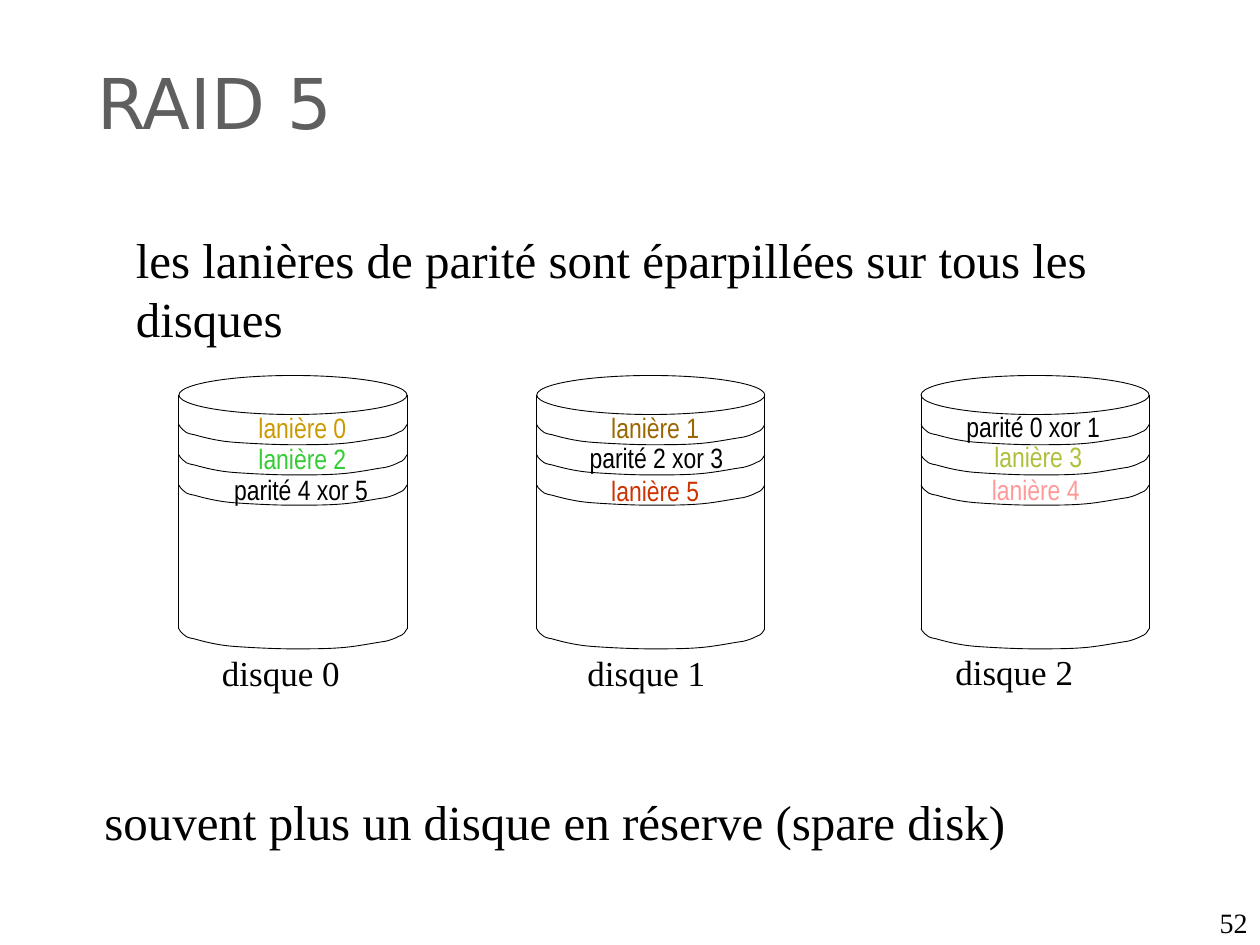
from lxml.etree import SubElement
from pptx import Presentation
from pptx.dml.color import RGBColor
from pptx.enum.shapes import MSO_CONNECTOR, MSO_SHAPE
from pptx.enum.text import MSO_ANCHOR, MSO_AUTO_SIZE, PP_ALIGN
from pptx.oxml.ns import qn
from pptx.util import Inches, Pt

SERIF = "Times New Roman"
NARROW = "Arial Narrow"
BLACK = "000000"
DISK_TOP, DISK_WIDTH, DISK_HEIGHT = 2.98, 1.81, 2.17
RIM_HEIGHT = 0.31
ARC_DEPTH = 0.16
STRIPE_TOP, STRIPE_PITCH = 0.39, 0.24

ARC_POINTS = [
    (0, 0), (0.01, 0.01), (0.01, 0.03), (0.03, 0.04),
    (0.05, 0.06), (0.06, 0.07), (0.12, 0.08),
    (0.19, 0.1), (0.3, 0.13), (0.43, 0.14),
    (0.56, 0.15), (0.76, 0.16), (0.9, 0.16),
    (1.05, 0.16), (1.18, 0.16), (1.3, 0.15),
    (1.42, 0.14), (1.56, 0.11), (1.64, 0.1),
    (1.72, 0.08), (1.74, 0.06), (1.77, 0.05),
    (1.8, 0.03), (1.8, 0.01), (1.81, 0),
]

DISKS = [
    ("disque 0", 1.42, (1.3, 5.12),
     [("lanière 0", "CC9900", 1.72, 3.24),
      ("lanière 2", "33CC33", 1.72, 3.49),
      ("parité 4 xor 5", BLACK, 1.71, 3.73)]),
    ("disque 1", 4.26, (4.2, 5.12),
     [("lanière 1", "996600", 4.52, 3.24),
      ("parité 2 xor 3", BLACK, 4.53, 3.48),
      ("lanière 5", "CC3300", 4.52, 3.74)]),
    ("disque 2", 7.31, (7.12, 5.11),
     [("parité 0 xor 1", BLACK, 7.52, 3.23),
      ("lanière 3", "AFBF39", 7.56, 3.47),
      ("lanière 4", "FF9999", 7.54, 3.73)]),
]


def color(value):
    """Turn a hex string into a colour."""
    return RGBColor.from_string(value)


def style_text(para, text, size, font, shade=BLACK, align=PP_ALIGN.LEFT):
    """Write a paragraph in one font."""
    para.text = text
    para.alignment = align
    para.font.size = Pt(size)
    para.font.name = font
    para.font.color.rgb = color(shade)


def add_text(page, area, text, size, font=SERIF, shade=BLACK,
             align=PP_ALIGN.LEFT, anchor=MSO_ANCHOR.TOP, wrap=True):
    """Add a text box that fills the given area."""
    box = page.shapes.add_textbox(*map(Inches, area))
    box.text_frame.word_wrap = wrap
    box.text_frame.vertical_anchor = anchor
    style_text(box.text_frame.paragraphs[0], text, size, font, shade, align)
    return box


def style_outline(shape):
    """Give a shape a thin black line, no fill and no shadow."""
    shape.shadow.inherit = False
    shape.fill.background()
    shape.line.color.rgb = color(BLACK)
    shape.line.width = Pt(0.5)


def add_arc(page, left, top):
    """Draw the front edge of a disk layer as a chain of Bézier curves."""
    points = [(Inches(left + x), Inches(top + y)) for x, y in ARC_POINTS]
    builder = page.shapes.build_freeform(*points[0])
    builder.add_line_segments(points[1:], close=False)
    arc = builder.convert_to_shape()
    outline = next(arc._element.iter(qn("a:path")))
    segments = outline.findall(qn("a:lnTo"))
    for start in range(0, len(segments), 3):
        curve = SubElement(outline, qn("a:cubicBezTo"))
        for segment in segments[start:start + 3]:
            curve.append(segment[0])
            outline.remove(segment)
    style_outline(arc)


def add_side(page, x, top, bottom):
    """Draw one vertical side of a disk."""
    side = page.shapes.add_connector(
        MSO_CONNECTOR.STRAIGHT, Inches(x), Inches(bottom), Inches(x), Inches(top))
    side.line.color.rgb = color(BLACK)
    side.line.width = Pt(0.5)
    SubElement(side._element.spPr, qn("a:effectLst"))


def add_cylinder(page, left, top, width, height, stripes):
    """Draw a disk as a cylinder with an arc under each stripe."""
    rim = page.shapes.add_shape(
        MSO_SHAPE.OVAL, Inches(left), Inches(top), Inches(width), Inches(RIM_HEIGHT))
    style_outline(rim)
    base = top + height - ARC_DEPTH
    add_arc(page, left, base)
    for x in (left, left + width):
        add_side(page, x, top + RIM_HEIGHT / 2, base)
    for index in range(stripes):
        add_arc(page, left, top + STRIPE_TOP + index * STRIPE_PITCH)


def add_disk(page, name, left, name_corner, stripes):
    """Place a disk with its name and its stripe labels."""
    caption = add_text(page, (*name_corner, 1.86, 0.44), name, 20,
                       align=PP_ALIGN.CENTER)
    caption.text_frame.auto_size = MSO_AUTO_SIZE.SHAPE_TO_FIT_TEXT
    add_cylinder(page, left, DISK_TOP, DISK_WIDTH, DISK_HEIGHT, len(stripes))
    for text, shade, label_left, label_top in stripes:
        add_text(page, (label_left, label_top, 1.36, 0.3), text, 16, NARROW, shade,
                 PP_ALIGN.CENTER, MSO_ANCHOR.MIDDLE, wrap=False)


def add_title(page, area, text):
    """Move and format the title placeholder."""
    title = page.shapes.title
    title.left, title.top, title.width, title.height = map(Inches, area)
    title.text_frame.vertical_anchor = MSO_ANCHOR.TOP
    style_text(title.text_frame.paragraphs[0], text, 40, "DejaVu Sans", "5F5F5F")


def main():
    """Build the slide and save it."""
    deck = Presentation()
    deck.slide_width, deck.slide_height = Inches(10), Inches(7.5)
    page = deck.slides.add_slide(deck.slide_layouts[5])
    add_text(page, (7.67, 7.14, 2.33, 0.36), "52", 16,
             align=PP_ALIGN.RIGHT, anchor=MSO_ANCHOR.BOTTOM)
    add_title(page, (0.67, 0.42, 3.07, 0.8), "RAID 5")
    add_text(page, (0.73, 6.23, 8.5, 0.76),
             "souvent plus un disque en réserve (spare disk)", 28)
    for disk in DISKS:
        add_disk(page, *disk)
    add_text(page, (0.98, 1.77, 8.5, 1.12),
             "les lanières de parité sont éparpillées sur tous les disques", 28)
    deck.save("out.pptx")


if __name__ == "__main__":
    main()
